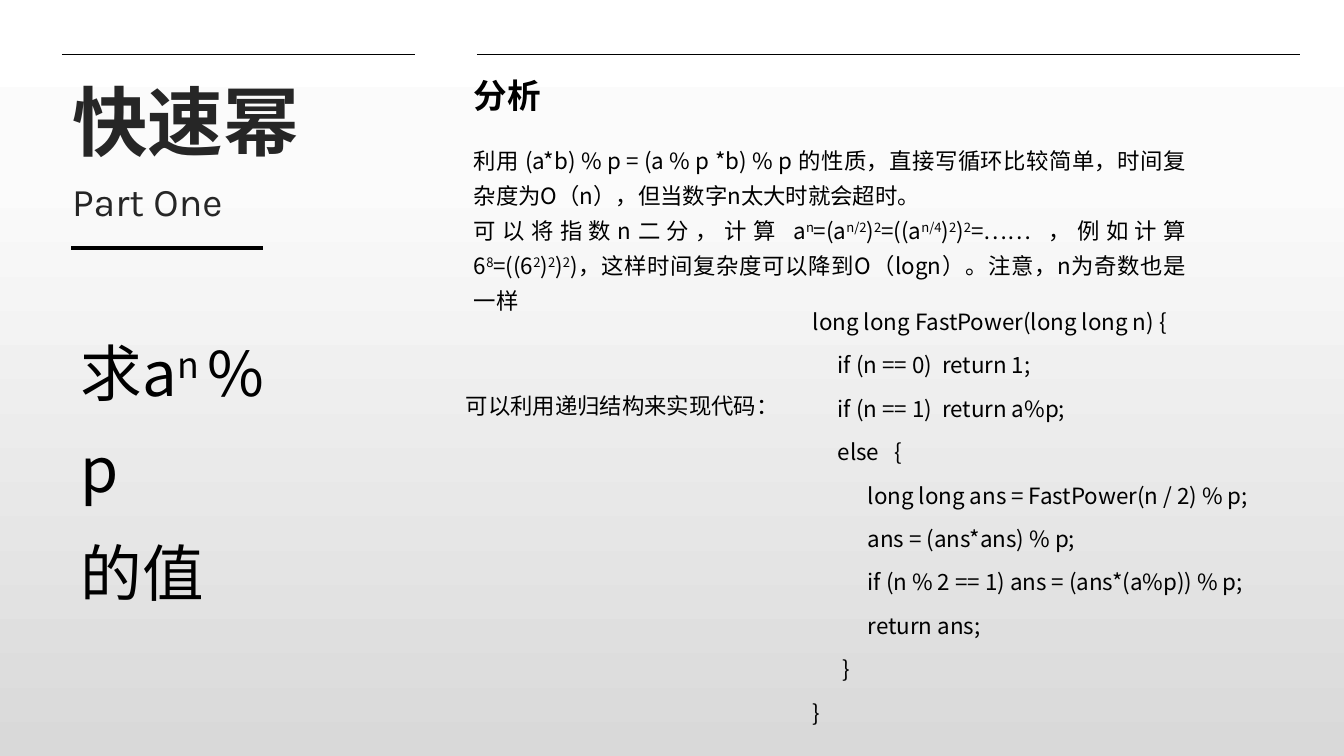
from copy import deepcopy

from pptx import Presentation
from pptx.dml.color import RGBColor
from pptx.enum.shapes import MSO_CONNECTOR
from pptx.enum.text import MSO_ANCHOR, MSO_AUTO_SIZE, PP_ALIGN
from pptx.oxml.ns import qn
from pptx.oxml.xmlchemy import OxmlElement
from pptx.util import Pt

STRAIGHT = MSO_CONNECTOR.STRAIGHT
TOP = MSO_ANCHOR.TOP
NO_FIT = MSO_AUTO_SIZE.NONE
LEFT, JUSTIFY = PP_ALIGN.LEFT, PP_ALIGN.JUSTIFY
PX = 9071  # EMU in one px (100.8 px to the inch)
HEAD, BODY = "Karla", "Noto Sans CJK SC"


def rgb(value):
    return RGBColor.from_string(value)


def write(sp, box, text, size, font=BODY, color="000000", bold=False,
          align=LEFT, spacing=None, before=0, wrap=True):
    """Fill a shape, one paragraph a line; text between bars is superscript."""
    sp.left, sp.top, sp.width, sp.height = [v * PX for v in box]
    tf = sp.text_frame
    tf.word_wrap, tf.auto_size, tf.vertical_anchor = wrap, NO_FIT, TOP
    for i, line in enumerate(text.split("\n")):
        p = tf.paragraphs[0] if i == 0 else tf.add_paragraph()
        p.alignment, p.line_spacing = align, spacing
        p.space_before = Pt(before if i else 0)
        if sp.is_placeholder:
            pPr = p._p.get_or_add_pPr()
            pPr.set("marL", "0")
            pPr.set("indent", "0")
            pPr.append(OxmlElement("a:buNone"))
        for j, part in enumerate(line.split("|")):
            r = p.add_run()
            r.text = part
            r.font.size, r.font.name, r.font.bold = Pt(size), font, bold
            r.font.color.rgb = rgb(color)
            rPr = r._r.get_or_add_rPr()
            ea = OxmlElement("a:ea")
            ea.set("typeface", font)
            rPr.find(qn("a:latin")).addnext(ea)
            if j % 2:
                rPr.set("baseline", "30000")


prs = Presentation()
prs.slide_width, prs.slide_height = 1344 * PX, 756 * PX
s = prs.slides.add_slide(prs.slide_layouts[1])

# Background gradient, white at the top to grey at the bottom
fill = s.background.fill
fill.gradient()
fill.gradient_angle = 270
first = s._element.find(".//" + qn("a:gsLst"))[0]
first.addnext(deepcopy(first))
shades = [(0, "FFFFFF"), (0.23, "FBFBFB"), (1, "D9D9D9")]
for stop, (position, shade) in zip(fill.gradient_stops, shades):
    stop.position = position
    stop.color.rgb = rgb(shade)

# Rules: left column, right column, title underline
for x1, x2, y, width in [(62, 415, 54, 0.5), (477, 1300, 54, 0.5), (71, 263, 248, 3)]:
    rule = s.shapes.add_connector(STRAIGHT, x1 * PX, y * PX, x2 * PX, y * PX)
    rule.line.color.rgb = rgb("000000")
    rule.line.width = Pt(width)
    rule._element.spPr.append(OxmlElement("a:effectLst"))

# Title and part number
write(s.shapes.title, (62, 80, 348, 98), "快速幂", 54, font=HEAD,
      color="262626", bold=True, spacing=0.9)
write(s.placeholders[1], (62, 178, 348, 52), "Part One", 28, font=HEAD,
      color="262626", spacing=0.9)

analysis = """利用 (a*b) % p = (a % p *b) % p 的性质，直接写循环比较简单，时间复杂度为O（n），但当数字n太大时就会超时。
可以将指数n二分，计算 a|n|=(a|n/2|)|2|=((a|n/4|)|2|)|2|=…… ，例如计算 6|8|=((6|2|)|2|)|2|)，这样时间复杂度可以降到O（logn）。注意，n为奇数也是一样"""

code = """long long FastPower(long long n) {
     if (n == 0)  return 1;
     if (n == 1)  return a%p;
     else   {
           long long ans = FastPower(n / 2) % p;
           ans = (ans*ans) % p;
           if (n % 2 == 1) ans = (ans*(a%p)) % p;
           return ans;
      }
}"""

# Problem, analysis and code
blocks = [
    ((71, 308, 250, 213), "求a|n |% p\n的值", 44, dict(spacing=Pt(68.5), before=6)),
    ((464, 70, 89, 50), "分析", 24, dict(font=HEAD, bold=True, wrap=False)),
    ((464, 134, 732, 186), analysis, 16, dict(align=JUSTIFY, spacing=Pt(25))),
    ((456, 379, 347, 45), "可以利用递归结构来实现代码：", 16,
     dict(align=JUSTIFY, spacing=Pt(25))),
    ((803, 295, 498, 440), code, 16, dict(spacing=Pt(25), before=6)),
]
for box, text, size, style in blocks:
    sp = s.shapes.add_textbox(0, 0, 0, 0)
    write(sp, box, text, size, **style)

prs.save("out.pptx")
